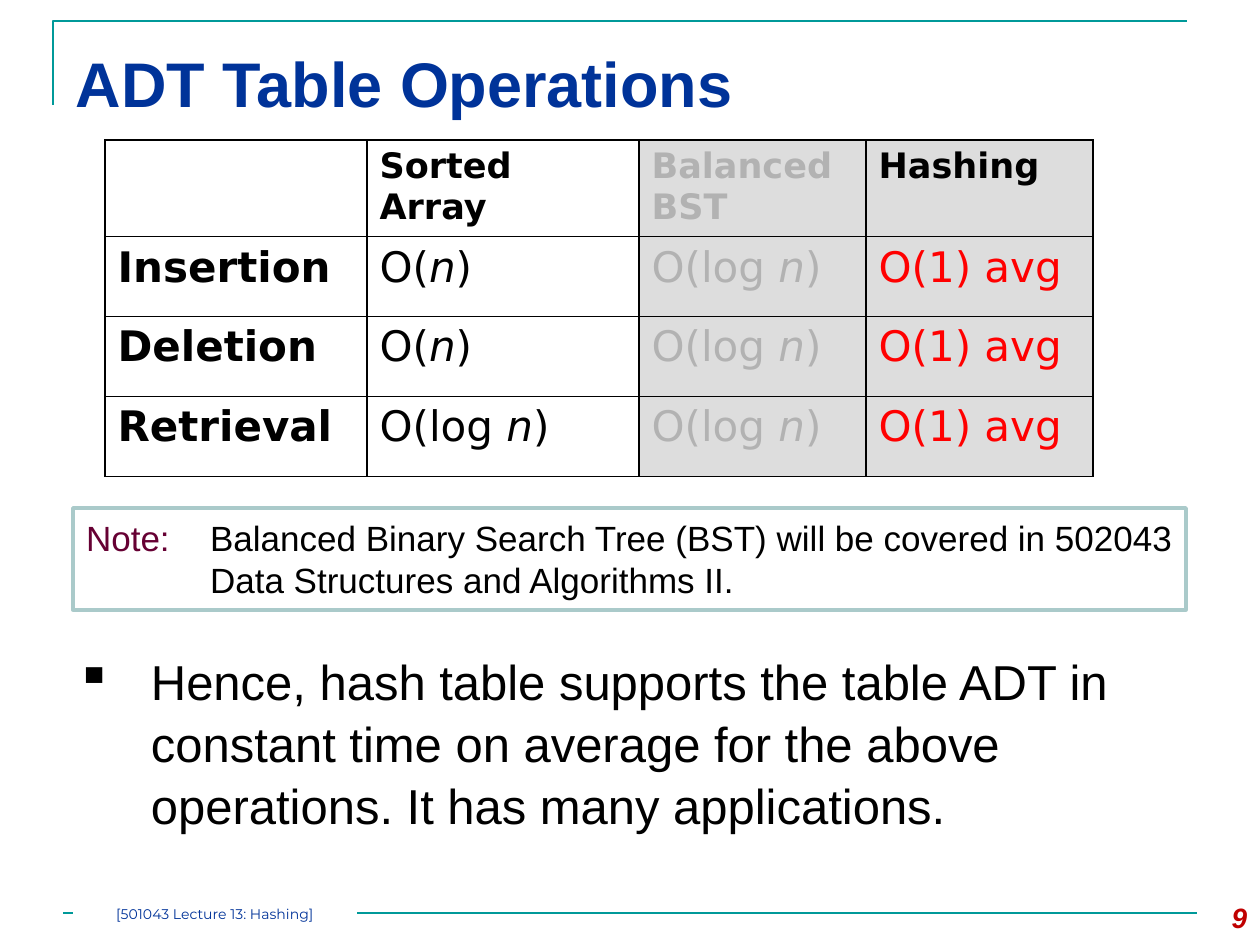
from pptx import Presentation
from pptx.dml.color import RGBColor
from pptx.enum.shapes import MSO_CONNECTOR, MSO_SHAPE
from pptx.enum.text import MSO_ANCHOR, PP_ALIGN
from pptx.oxml.ns import qn
from pptx.util import Pt
from lxml.etree import SubElement

PX = 914400 / 126
COLORS = {
    "teal": "009999", "blue": "003399", "red": "C00000", "maroon": "660033",
    "pale_teal": "AACACA", "black": "000000", "white": "FFFFFF",
    "grey_fill": "DDDDDD", "grey_text": "B2B2B2", "bright_red": "FF0000",
}

# Content: asterisks set italic variables
TITLE = "ADT Table Operations"
HEADERS = ["", "Sorted Array", "Balanced BST", "Hashing"]
OPERATIONS = [
    ["Insertion", "O(*n*)", "O(log *n*)", "O(1) avg"],
    ["Deletion", "O(*n*)", "O(log *n*)", "O(1) avg"],
    ["Retrieval", "O(log *n*)", "O(log *n*)", "O(1) avg"],
]
NOTE_LABEL = "Note:\t"
NOTE = ("Balanced Binary Search Tree (BST) will be covered in 502043 "
        "Data Structures and Algorithms II.")
CONCLUSION = ("Hence, hash table supports the table ADT in constant time on average "
              "for the above operations. It has many applications.")
FOOTER = "[501043 Lecture 13: Hashing]"
PAGE_NUMBER = "9"

COLUMN_WIDTHS = [262, 272, 227, 227]
ROW_HEIGHTS = [94, 80, 80, 80]
COLUMN_FILLS = ["white", "white", "grey_fill", "grey_fill"]
HEADER_COLORS = ["black", "black", "grey_text", "black"]
BODY_COLORS = ["black", "black", "grey_text", "bright_red"]


def px(value):
    return round(value * PX)


def color(name):
    return RGBColor.from_string(COLORS[name])


def write(paragraph, text, size, fill="black", font="Arial", bold=False, italic=False):
    for index, part in enumerate(text.split("*")):
        if part:
            run = paragraph.add_run()
            run.text = part
            run.font.size = Pt(size)
            run.font.name = font
            run.font.bold = bold
            run.font.italic = italic or index % 2 == 1
            run.font.color.rgb = color(fill)


def set_frame(shape, anchor=MSO_ANCHOR.TOP, sides=13, top=6, bottom=6):
    frame = shape.text_frame
    frame.word_wrap = True
    frame.vertical_anchor = anchor
    frame.margin_left = frame.margin_right = px(sides)
    frame.margin_top, frame.margin_bottom = px(top), px(bottom)
    return frame.paragraphs[0]


def add_text_box(slide, box, **frame_format):
    return set_frame(slide.shapes.add_textbox(*map(px, box)), **frame_format)


def add_box(slide, box, line=None, **frame_format):
    shape = slide.shapes.add_shape(MSO_SHAPE.RECTANGLE, *map(px, box))
    shape.shadow.inherit = False
    shape.fill.solid()
    shape.fill.fore_color.rgb = color("white")
    if line:
        shape.line.color.rgb = color(line)
        shape.line.width = Pt(2)
    else:
        shape.line.fill.background()
    return set_frame(shape, MSO_ANCHOR.MIDDLE, **frame_format)


def set_hanging(paragraph, indent):
    properties = paragraph._p.get_or_add_pPr()
    properties.set("marL", str(px(indent)))
    properties.set("indent", str(-px(indent)))
    return properties


def set_borders(cell):
    properties = cell._tc.get_or_add_tcPr()
    for position, side in enumerate(("lnL", "lnR", "lnT", "lnB")):
        line = SubElement(properties, qn(f"a:{side}"), w=str(Pt(1)))
        fill = SubElement(line, qn("a:solidFill"))
        SubElement(fill, qn("a:srgbClr"), val=COLORS["black"])
        properties.insert(position, line)


def add_operations_table(slide):
    rows = [HEADERS] + OPERATIONS
    frame = slide.shapes.add_table(len(rows), len(HEADERS), px(105), px(140),
                                   px(sum(COLUMN_WIDTHS)), px(sum(ROW_HEIGHTS)))
    table = frame.table
    table.first_row = table.horz_banding = False
    for column, width in zip(table.columns, COLUMN_WIDTHS):
        column.width = px(width)
    for row, height in zip(table.rows, ROW_HEIGHTS):
        row.height = px(height)
    for r, texts in enumerate(rows):
        text_colors = BODY_COLORS if r else HEADER_COLORS
        for c, text in enumerate(texts):
            cell = table.cell(r, c)
            cell.fill.solid()
            cell.fill.fore_color.rgb = color(COLUMN_FILLS[c])
            set_borders(cell)
            write(cell.text_frame.paragraphs[0], text, 24 if r else 20,
                  text_colors[c], "DejaVu Sans", bold=r == 0 or c == 0)


def main():
    presentation = Presentation()
    presentation.slide_width, presentation.slide_height = px(1260), px(945)
    slide = presentation.slides.add_slide(presentation.slide_layouts[6])

    # Corner line and footer rule
    builder = slide.shapes.build_freeform(53, 105, scale=PX)
    builder.add_line_segments([(53, 21), (1187, 21)], close=False)
    corner = builder.convert_to_shape()
    corner.shadow.inherit = False
    corner.fill.background()
    rule = slide.shapes.add_connector(MSO_CONNECTOR.STRAIGHT,
                                      px(63), px(913), px(1197), px(913))
    SubElement(rule._element.spPr, qn("a:effectLst"))
    for shape in (corner, rule):
        shape.line.color.rgb = color("teal")
        shape.line.width = Pt(1.5)

    # Title and page number
    title = add_text_box(slide, (63, 32, 1134, 108), top=12)
    write(title, TITLE, 36, "blue", bold=True)
    number = add_text_box(slide, (1176, 895, 84, 50))
    number.alignment = PP_ALIGN.RIGHT
    write(number, PAGE_NUMBER, 16, "red", bold=True, italic=True)

    # Note
    note = add_box(slide, (73, 508, 1113, 102), line="pale_teal")
    note.alignment = PP_ALIGN.LEFT
    set_hanging(note, 124)
    write(note, NOTE_LABEL, 20, "maroon")
    write(note, NOTE, 20)

    add_operations_table(slide)

    # Footer label over the rule
    footer = add_box(slide, (73, 903, 284, 21), sides=0, top=0, bottom=0)
    footer.alignment = PP_ALIGN.CENTER
    write(footer, FOOTER, 8, "blue", "Montserrat")

    # Conclusion
    conclusion = add_text_box(slide, (63, 640, 1134, 189), top=9)
    properties = set_hanging(conclusion, 75)
    bullet_color = SubElement(properties, qn("a:buClr"))
    SubElement(bullet_color, qn("a:srgbClr"), val=COLORS["black"])
    SubElement(properties, qn("a:buChar"), char="▪")
    conclusion.line_spacing = 1.05
    write(conclusion, CONCLUSION, 28)

    presentation.save("out.pptx")


if __name__ == "__main__":
    main()
